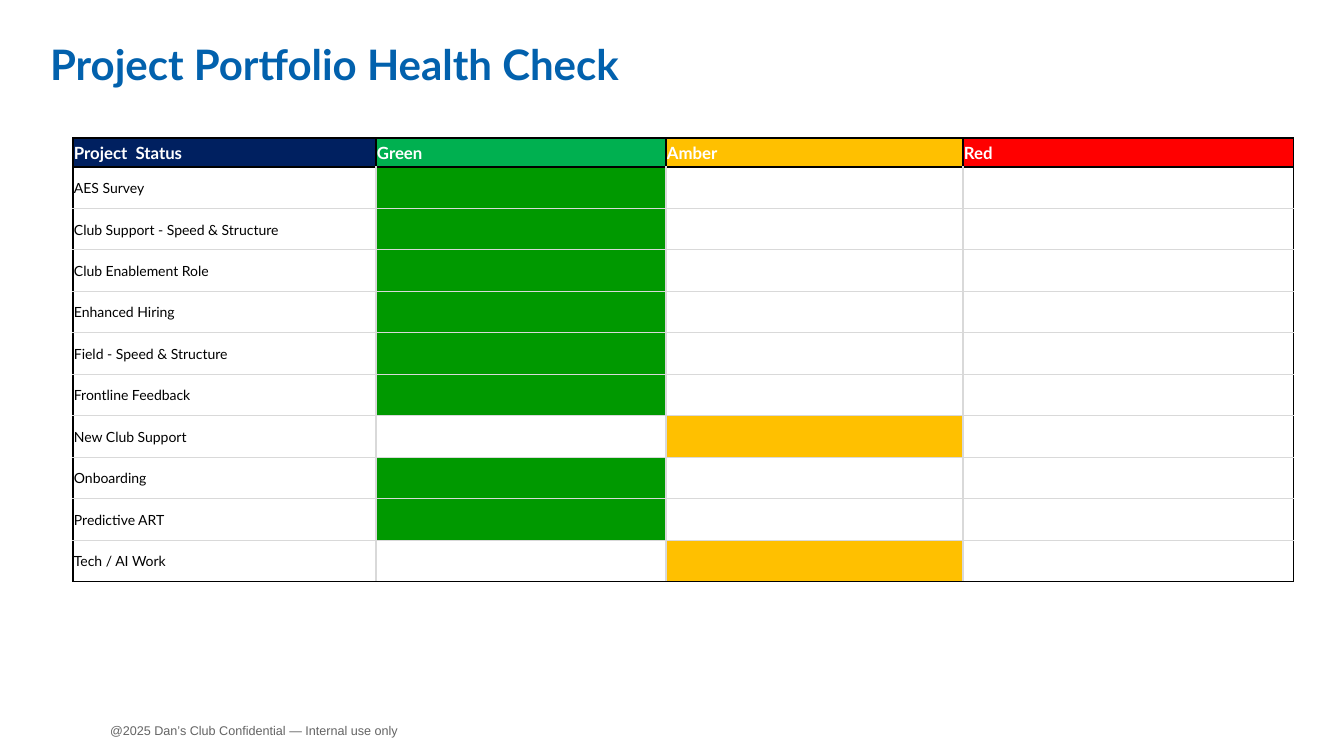
import pptx
import pptx.util
import pptx.dml.color
import pptx.enum.text
import pptx.oxml.ns
from lxml import etree

RGB = pptx.dml.color.RGBColor
ENUM = pptx.enum.text

# Content
TITLE = "Project Portfolio Health Check"
NOTE = "@2025 Dan’s Club Confidential — Internal use only"
HEADS = ["Project  Status", "Green", "Amber", "Red"]
ROWS = [
    ("AES Survey", "Green"),
    ("Club Support - Speed & Structure", "Green"),
    ("Club Enablement Role", "Green"),
    ("Enhanced Hiring", "Green"),
    ("Field - Speed & Structure", "Green"),
    ("Frontline Feedback", "Green"),
    ("New Club Support", "Amber"),
    ("Onboarding", "Green"),
    ("Predictive ART", "Green"),
    ("Tech / AI Work", "Amber"),
]

# Colours
BLACK = RGB(0x00, 0x00, 0x00)
WHITE = RGB(0xFF, 0xFF, 0xFF)
BLUE = RGB(0x02, 0x61, 0xAD)
NAVY = RGB(0x00, 0x20, 0x60)
LIME = RGB(0x00, 0xB0, 0x50)
GREEN = RGB(0x00, 0x99, 0x00)
AMBER = RGB(0xFF, 0xC0, 0x00)
RED = RGB(0xFF, 0x00, 0x00)
GRAY = RGB(0x64, 0x64, 0x64)
RULE = RGB(0xD9, 0xD9, 0xD9)
TOPS = [NAVY, LIME, AMBER, RED]
MARKS = {"Green": GREEN, "Amber": AMBER, "Red": RED}

# Sizes in px
WIDE, HIGH = 1344, 756
LEFT, TOP = 73, 138
COLS = [303, 290, 297, 331]
HEAD, BODY = 29, 415
EMU = 12192000 / WIDE


def px(num):
    return pptx.util.Emu(round(num * EMU))


def place(shape, *box):
    shape.left, shape.top, shape.width, shape.height = map(px, box)


def inset(frame, left, top, right, base):
    frame.margin_left, frame.margin_top = px(left), px(top)
    frame.margin_right, frame.margin_bottom = px(right), px(base)


def write(frame, text, size, color, bold=False, face="Lato"):
    par = frame.paragraphs[0]
    par.alignment = ENUM.PP_ALIGN.LEFT
    run = par.add_run()
    run.text = text
    run.font.name = face
    run.font.size = pptx.util.Pt(size)
    run.font.bold = bold
    run.font.color.rgb = color


def edge(cell, side, color):
    tag = pptx.oxml.ns.qn
    props = cell._tc.get_or_add_tcPr()
    line = etree.SubElement(props, tag("a:ln" + side), w=str(pptx.util.Pt(1)))
    fill = etree.SubElement(line, tag("a:solidFill"))
    etree.SubElement(fill, tag("a:srgbClr"), val=str(color))


def main():
    deck = pptx.Presentation()
    deck.slide_width, deck.slide_height = px(WIDE), px(HIGH)
    slide = deck.slides.add_slide(deck.slide_layouts[5])

    # Title
    title = slide.shapes.title
    place(title, 10, 35, 1268, 58)
    frame = title.text_frame
    frame.auto_size = ENUM.MSO_AUTO_SIZE.NONE
    frame.vertical_anchor = ENUM.MSO_ANCHOR.MIDDLE
    inset(frame, 40, 0, 40, 0)
    write(frame, TITLE, 30, BLUE, True)

    # Footer
    foot = slide.shapes.add_textbox(px(70), px(703), px(340), px(55))
    frame = foot.text_frame
    frame.word_wrap = False
    frame.vertical_anchor = ENUM.MSO_ANCHOR.MIDDLE
    inset(frame, 40, 5, 0, 5)
    write(frame, NOTE, 9, GRAY, face="Arial")

    # Table grid
    last, end = len(ROWS), len(COLS) - 1
    grid = slide.shapes.add_table(
        last + 1, len(COLS), px(LEFT), px(TOP), px(sum(COLS)), px(HEAD + BODY)
    ).table
    for col, width in zip(grid.columns, COLS):
        col.width = px(width)
    for num, row in enumerate(grid.rows):
        row.height = px(BODY / last if num else HEAD)

    # Table cells
    for r in range(last + 1):
        for c, head in enumerate(HEADS):
            cell = grid.cell(r, c)
            cell.vertical_anchor = ENUM.MSO_ANCHOR.MIDDLE
            inset(cell, 1, 1, 1, 0)
            dark = {"L": c == 0, "R": c == end, "T": r <= 1, "B": r == last}
            for side, outer in dark.items():
                edge(cell, side, BLACK if outer or r == 0 else RULE)
            cell.fill.solid()
            if r == 0:
                cell.fill.fore_color.rgb = TOPS[c]
                write(cell.text_frame, head, 12, WHITE, True)
                continue
            name, state = ROWS[r - 1]
            cell.fill.fore_color.rgb = MARKS[state] if head == state else WHITE
            if c == 0:
                write(cell.text_frame, name, 10, BLACK)

    deck.save("out.pptx")


if __name__ == "__main__":
    main()
